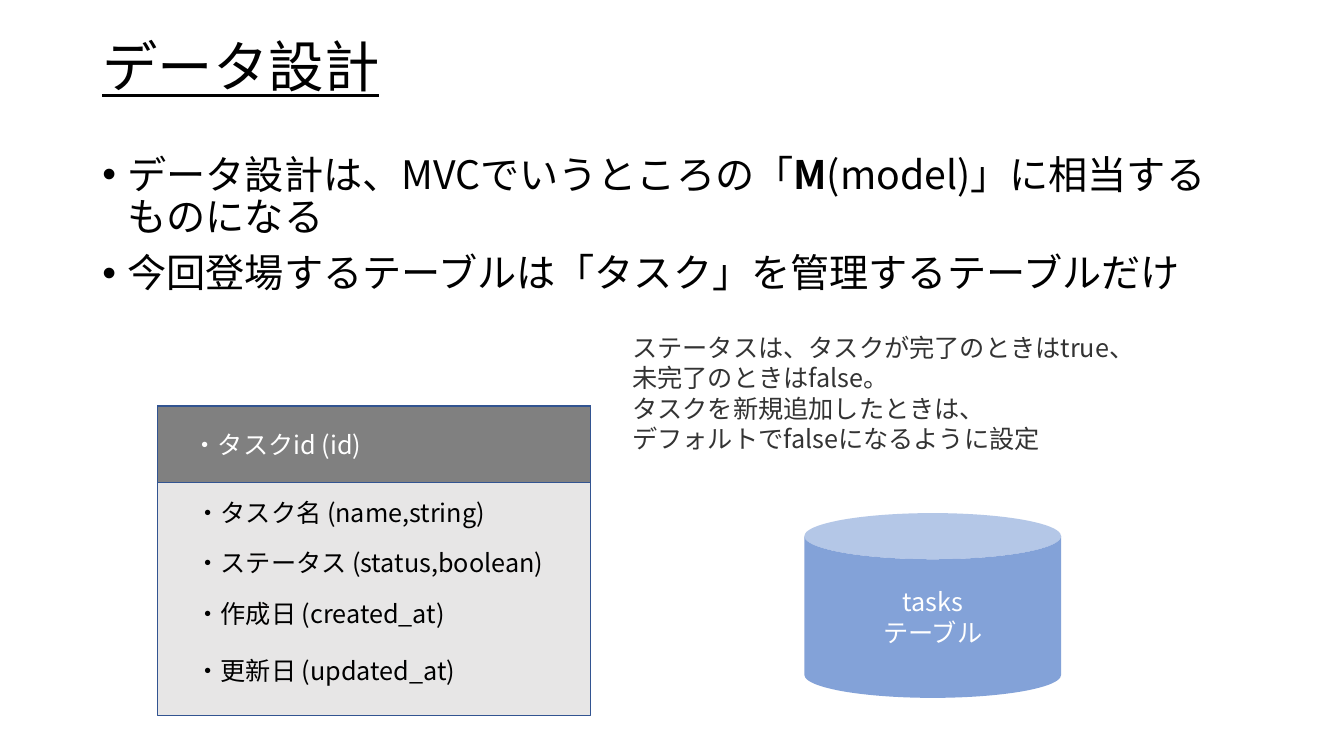
import pptx
import pptx.dml.color
import pptx.enum.shapes
import pptx.enum.text
import pptx.oxml
import pptx.oxml.ns
import pptx.util

Pt = pptx.util.Pt
Shape = pptx.enum.shapes.MSO_SHAPE
Align = pptx.enum.text.PP_ALIGN
Anchor = pptx.enum.text.MSO_ANCHOR
qn = pptx.oxml.ns.qn


def color(code):
    return pptx.dml.color.RGBColor.from_string(code)


def child(node, tag, **attrs):
    """Append a DrawingML element and return it."""
    item = pptx.oxml.parse_xml(f"<a:{tag} {pptx.oxml.ns.nsdecls('a')}/>")
    for key, value in attrs.items():
        item.set(key, value)
    node.append(item)
    return item


class Board:
    font = "Noto Sans CJK JP"
    edge = "325491"

    def __init__(self, slide):
        self.slide = slide

    def label(self, shape, lines, size, ink, anchor, align=Align.LEFT, under=None):
        """Fill a shape with paragraphs; text between ** marks is bold."""
        frame = shape.text_frame
        frame.word_wrap = True
        frame.vertical_anchor = anchor
        for i, line in enumerate(lines):
            para = frame.paragraphs[0] if i == 0 else frame.add_paragraph()
            para.alignment = align
            for j, part in enumerate(line.split("**")):
                run = para.add_run()
                run.text = part
                font = run.font
                font.name = self.font
                font.size = Pt(size)
                font.bold = j % 2 == 1
                font.underline = under
                font.color.rgb = color(ink)
                child(run._r.get_or_add_rPr(), "ea", typeface=self.font)
        return frame

    def text(self, box, lines, size=18, ink="000000", anchor=Anchor.TOP, under=None):
        shape = self.slide.shapes.add_textbox(*map(Pt, box))
        return self.label(shape, lines, size, ink, anchor, under=under)

    def bullets(self, box, lines, size):
        for para in self.text(box, lines, size).paragraphs:
            para.line_spacing = 0.9
            para.space_before = Pt(10)
            props = para._p.get_or_add_pPr()
            props.set("marL", str(Pt(18)))
            props.set("indent", str(Pt(-18)))
            child(props, "buFont", typeface="Arial")
            child(props, "buChar", char="•")

    def shape(self, kind, box, fill, lines=(), align=Align.LEFT, edge=None, alpha=None):
        shape = self.slide.shapes.add_shape(kind, *map(Pt, box))
        shape.shadow.inherit = False
        shape.fill.solid()
        shape.fill.fore_color.rgb = color(fill)
        if alpha:
            tint = shape._element.spPr.find(qn("a:solidFill"))[0]
            child(tint, "alpha", val=str(alpha * 1000))
        if edge:
            shape.line.color.rgb = color(edge)
            shape.line.width = Pt(1)
        else:
            shape.line.fill.background()
        return self.label(shape, lines, 18, "FFFFFF", Anchor.MIDDLE, align)


def main():
    deck = pptx.Presentation()
    deck.slide_width, deck.slide_height = Pt(960), Pt(540)
    board = Board(deck.slides.add_slide(deck.slide_layouts[6]))

    title = board.text((66, 28.75, 828, 41.75), ["データ設計"], 39.6,
                       anchor=Anchor.MIDDLE, under=True)
    title.paragraphs[0].line_spacing = 0.9
    board.bullets((66, 107.25, 828, 126), [
        "データ設計は、MVCでいうところの「**M**(model)」に相当するものになる",
        "今回登場するテーブルは「タスク」を管理するテーブルだけ",
    ], 28)

    board.shape(Shape.CAN, (574.5, 366.5, 183.5, 132), "4472C4",
                ["tasks", "テーブル"], Align.CENTER, alpha=66)

    left, wide = 112.5, 309.5
    board.shape(Shape.RECTANGLE, (left, 289.5, wide, 221.5), "E7E6E6", edge=board.edge)
    head = board.shape(Shape.RECTANGLE, (left, 290, wide, 54.5), "808080",
                       ["・タスクid (id)"], edge=board.edge)
    head.margin_left = Pt(25.2)

    fields = [
        (351.5, "・タスク名 (name,string)"),
        (387.5, "・ステータス (status,boolean)"),
        (424, "・作成日 (created_at)"),
        (464.5, "・更新日 (updated_at)"),
    ]
    for top, field in fields:
        board.text((132.5, top, 270, 29), [field])

    board.text((444.5, 234, 497.5, 94.5), [
        "ステータスは、タスクが完了のときはtrue、",
        "未完了のときはfalse。",
        "タスクを新規追加したときは、",
        "デフォルトでfalseになるように設定",
    ], ink="333333")

    deck.save("out.pptx")


if __name__ == "__main__":
    main()
